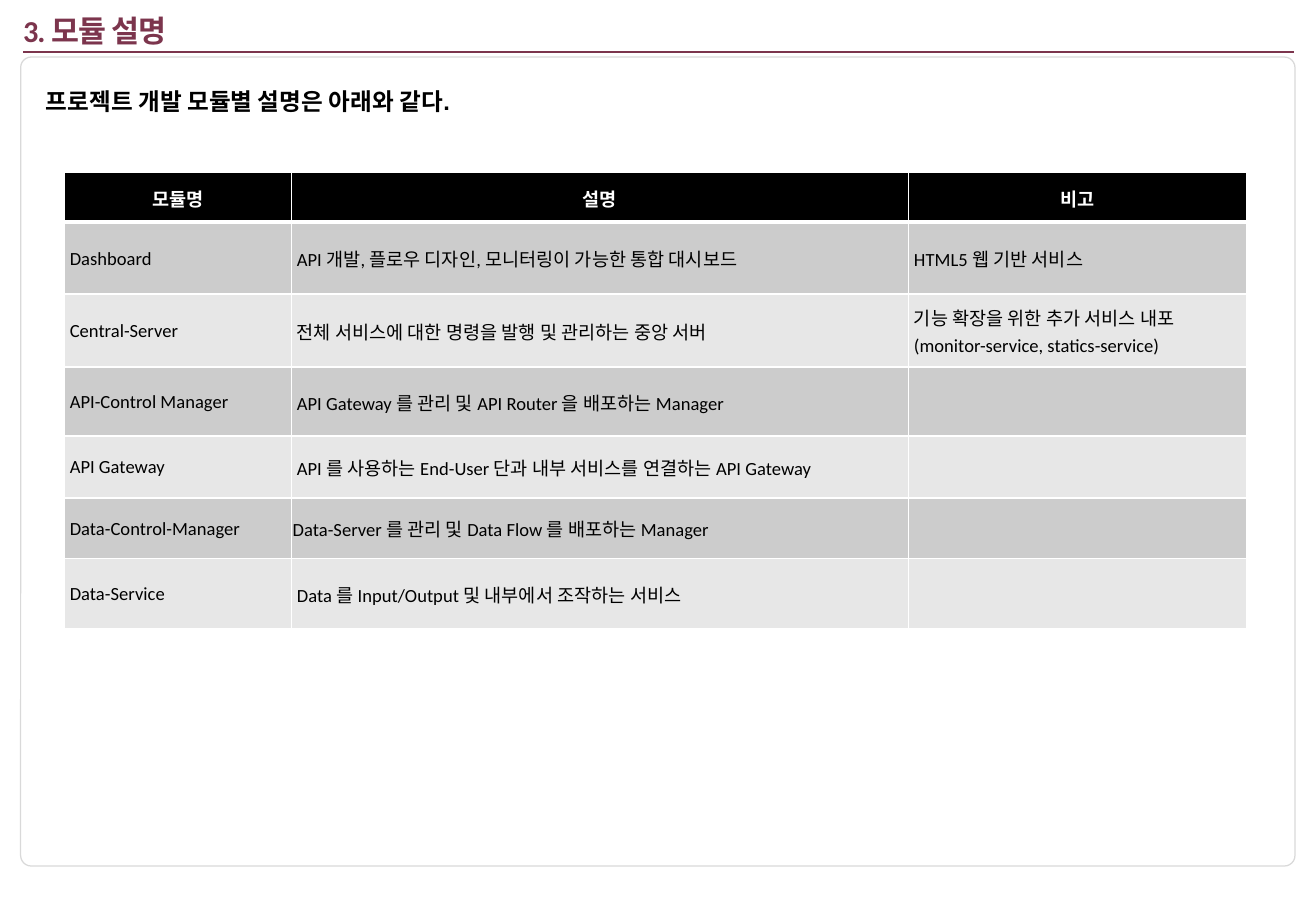
from pptx import Presentation
from pptx.dml.color import RGBColor
from pptx.enum import shapes, text
from pptx.oxml.ns import qn
from pptx.util import Pt
from lxml import etree

COLORS = {
    "accent": "7C354D", "frame": "D9D9D9", "white": "FFFFFF",
    "black": "000000", "odd": "CCCCCC", "even": "E7E7E7",
}
HEADERS = ["모듈명", "설명", "비고"]
MODULES = [
    [" Dashboard", " API 개발, 플로우 디자인, 모니터링이 가능한 통합 대시보드", " HTML5 웹 기반 서비스"],
    [" Central-Server", " 전체 서비스에 대한 명령을 발행 및 관리하는 중앙 서버",
     " 기능 확장을 위한 추가 서비스 내포\v (monitor-service, statics-service)"],
    [" API-Control Manager", " API Gateway 를 관리 및 API Router 을 배포하는 Manager", ""],
    [" API Gateway", " API 를 사용하는 End-User 단과 내부 서비스를 연결하는 API Gateway", ""],
    [" Data-Control-Manager", "Data-Server 를 관리 및 Data Flow 를 배포하는 Manager", ""],
    [" Data-Service", " Data 를 Input/Output 및 내부에서 조작하는 서비스", ""],
]
COL_WIDTHS = [134.64, 365.76, 200.16]
ROW_HEIGHTS = [29.5, 42.5, 43.2, 41, 36.7, 36, 41.8]


def rgb(name):
    return RGBColor.from_string(COLORS[name])


def set_attrs(obj, **values):
    for name, value in values.items():
        setattr(obj, name, value)


def style_font(font, color, **values):
    set_attrs(font, **values)
    font.color.rgb = rgb(color)


def add_title(s, left, top, width, height):
    sp = s.shapes.title
    set_attrs(sp, left=Pt(left), top=Pt(top), width=Pt(width), height=Pt(height))
    tf = sp.text_frame
    set_attrs(tf, margin_left=0, margin_top=0, margin_right=0, margin_bottom=0, word_wrap=False,
              auto_size=text.MSO_AUTO_SIZE.SHAPE_TO_FIT_TEXT, vertical_anchor=text.MSO_ANCHOR.MIDDLE)
    p = tf.paragraphs[0]
    set_attrs(p, alignment=text.PP_ALIGN.LEFT, line_spacing=0.9)
    r = p.add_run()
    r.text = "3. 모듈 설명"
    style_font(r.font, "accent", size=Pt(18), bold=True, name="Calibri")
    r.font._element.set("spc", "-60")


def add_frame(s, left, top, width, height):
    rule = s.shapes.add_connector(shapes.MSO_CONNECTOR.STRAIGHT, Pt(left + 1.44), Pt(top - 2.88),
                                  Pt(left + width - 0.4), Pt(top - 2.88))
    rule.line.width = Pt(1)
    rule.line.color.rgb = rgb("accent")
    etree.SubElement(rule._element.spPr, qn("a:effectLst"))

    panel = s.shapes.add_shape(shapes.MSO_SHAPE.ROUNDED_RECTANGLE,
                               Pt(left), Pt(top), Pt(width), Pt(height))
    panel.adjustments[0] = 0.013
    panel.shadow.inherit = False
    panel.fill.solid()
    panel.fill.fore_color.rgb = rgb("white")
    panel.line.width = Pt(0.75)
    panel.line.color.rgb = rgb("frame")


def add_intro(s, left, top, width, height):
    tf = s.shapes.add_textbox(Pt(left), Pt(top), Pt(width), Pt(height)).text_frame
    set_attrs(tf, word_wrap=True, auto_size=text.MSO_AUTO_SIZE.SHAPE_TO_FIT_TEXT)
    r = tf.paragraphs[0].add_run()
    r.text = "프로젝트 개발 모듈별 설명은 아래와 같다."
    style_font(r.font, "black", size=Pt(14), bold=True, name="Arial")


def set_borders(cell, **widths):
    tcPr = cell._tc.get_or_add_tcPr()
    for i, side in enumerate("LRTB"):
        ln = etree.Element(qn(f"a:ln{side}"), w=str(Pt(widths.get(side, 1))))
        fill = etree.SubElement(ln, qn("a:solidFill"))
        etree.SubElement(fill, qn("a:srgbClr"), val=COLORS["white"])
        tcPr.insert(i, ln)


def fill_cell(cell, words, row):
    header = row == 0
    cell.text = words
    set_attrs(cell, margin_left=Pt(0.72), margin_top=Pt(0.72), margin_right=Pt(0.72),
              margin_bottom=0, vertical_anchor=text.MSO_ANCHOR.MIDDLE)
    cell.fill.solid()
    cell.fill.fore_color.rgb = rgb("black" if header else "odd" if row % 2 else "even")
    set_borders(cell, T=3 if row == 1 else 1, B=3 if header else 1)
    p = cell.text_frame.paragraphs[0]
    p.alignment = text.PP_ALIGN.CENTER if header else text.PP_ALIGN.LEFT
    for font in [p.font] + [r.font for r in p.runs]:
        style_font(font, "white" if header else "black",
                   size=Pt(11), bold=header, name="Calibri")


def add_module_table(s, left, top):
    rows = [HEADERS] + MODULES
    table = s.shapes.add_table(len(rows), len(HEADERS), Pt(left), Pt(top),
                               Pt(sum(COL_WIDTHS)), Pt(sum(ROW_HEIGHTS))).table
    for col, width in zip(table.columns, COL_WIDTHS):
        col.width = Pt(width)
    for i, (row, height) in enumerate(zip(table.rows, ROW_HEIGHTS)):
        row.height = Pt(height)
        for cell, words in zip(row.cells, rows[i]):
            fill_cell(cell, words, i)


def main():
    prs = Presentation()
    set_attrs(prs, slide_width=Pt(780), slide_height=Pt(540))
    s = prs.slides.add_slide(prs.slide_layouts[5])
    add_frame(s, 12.24, 33.84, 755.28, 479.52)
    add_title(s, 13.68, 9.36, 90, 19.44)
    add_module_table(s, 38.16, 102.24)
    add_intro(s, 20.16, 48.24, 706.32, 24.48)
    prs.save("out.pptx")


if __name__ == "__main__":
    main()
